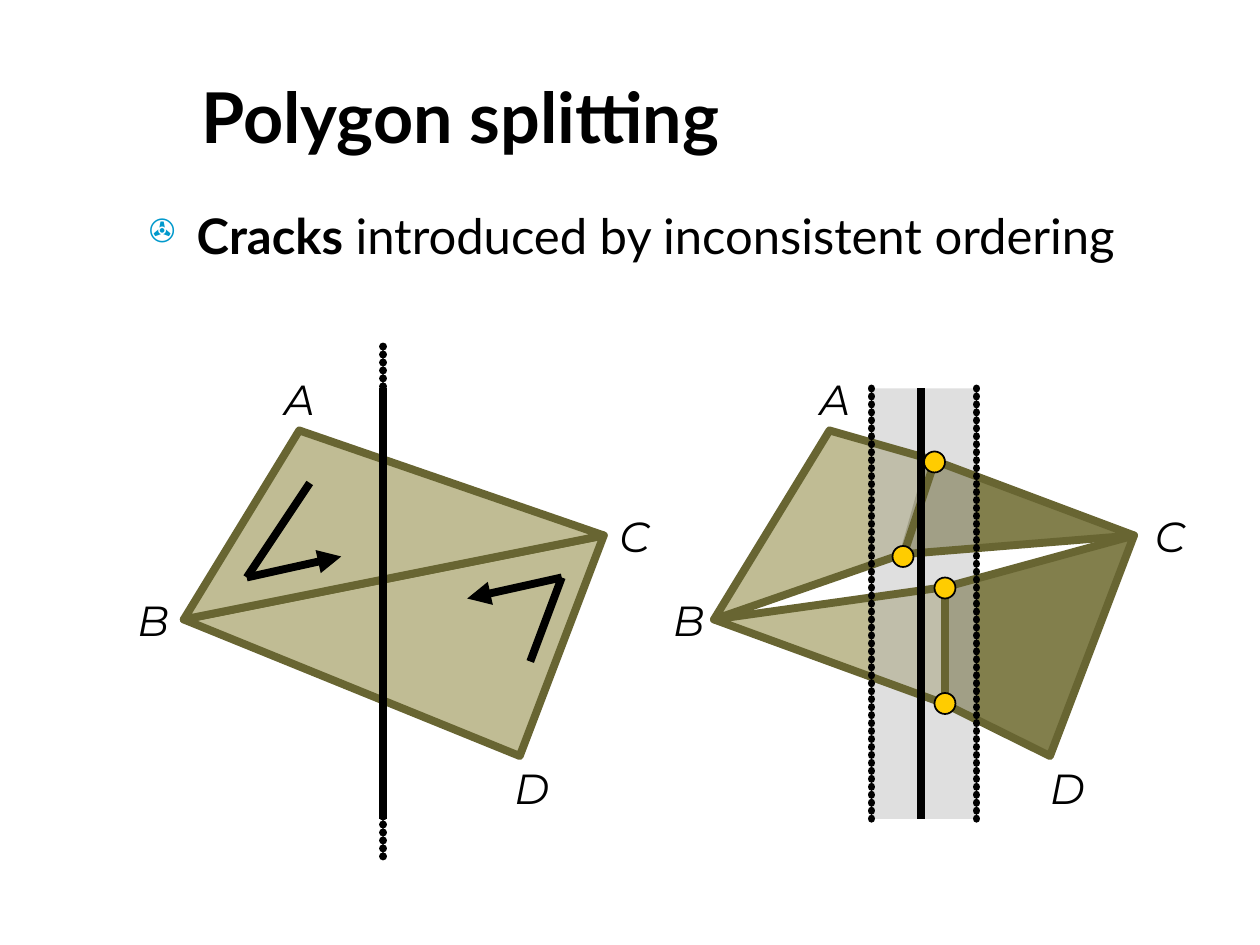
"""Build the polygon splitting slide on a grid of twelfths of an inch."""
from lxml.etree import SubElement
from pptx import Presentation
from pptx.dml.color import RGBColor
from pptx.enum.shapes import MSO_CONNECTOR, MSO_SHAPE
from pptx.enum.text import MSO_ANCHOR, MSO_AUTO_SIZE, PP_ALIGN
from pptx.oxml.ns import qn
from pptx.util import Inches, Pt

THEME = {
    "black": "000000", "edge": "686532", "light": "C0BC94", "dark": "827F4C",
    "band": "C0C0C0", "dot": "FFCC00", "bullet": "0099CC",
    "text_font": "Lato", "label_font": "Montserrat",
    "title": 40, "body": 28, "label": 24, "stroke": 4.5, "thin": 1,
}
TITLE = "Polygon splitting"
BODY = [("Cracks", True), (" introduced by inconsistent ordering", False)]
TITLE_AREA = (18, 5, 99, 12)
BODY_AREA = (13, 19, 103, 9)

LABELS = [("A", 25.9, 35, 4.7), ("B", 11.9, 56, 4.8),
          ("C", 57.8, 48, 4.7), ("D", 47.8, 72, 5)]
FIGURE_SHIFTS = (0, 51)

SPLIT_FILLS = [
    ("light", [(68.4, 58.8), (79.4, 41), (88.7, 43.8), (86.2, 52.4)]),
    ("dark", [(89.8, 66.8), (89.9, 56), (107.8, 51), (100.1, 71.8)]),
    ("light", [(90, 66.8), (90.2, 56), (68.4, 58.8)]),
    ("dark", [(107.6, 50.9), (88.2, 43.8), (85.7, 52.6)]),
]
WHOLE_TRIANGLES = [
    [(17.5, 59), (57.5, 51), (49.5, 72)],
    [(17.5, 59), (57.5, 51), (28.5, 41)],
]
SPLIT_OUTLINES = [
    [(68, 59), (85.9, 52.8), (108, 51), (88.8, 43.8), (79, 41)],
    [(68, 59), (90.1, 55.9), (108, 51), (100, 72), (89.9, 67)],
]
BAND = (83, 37, 10, 41)
SPLIT_EDGES = [((86, 53), (89, 44)), ((90, 56), (90, 67))]
DOTTED_LINES = [((36.5, 33), (36.5, 82)), ((93, 37), (93, 78)), ((83, 37), (83, 78))]
SOLID_LINES = [((36.5, 37), (36.5, 78)), ((87.75, 37), (87.75, 78))]
ORDER_LINES = [((29.5, 46), (23.5, 55)), ((53.5, 55), (50.5, 63))]
ORDER_ARROWS = [((23.5, 55), (32.5, 53)), ((53.5, 55), (44.5, 57))]
VERTICES = [(90, 56), (86, 53), (89, 44), (90, 67)]
VERTEX_SIZE = 2


def grid(*values):
    return [Inches(value / 12) for value in values]


def color(name):
    return RGBColor.from_string(THEME[name])


def style(shape, fill=None, line=None, width="stroke"):
    shape.shadow.inherit = False
    if fill:
        shape.fill.solid()
        shape.fill.fore_color.rgb = color(fill)
    else:
        shape.fill.background()
    if line:
        shape.line.color.rgb = color(line)
        shape.line.width = Pt(THEME[width])
        SubElement(shape.line._get_or_add_ln(), qn("a:round"))
    else:
        shape.line.fill.background()


def polygon(page, points, fill=None, line=None):
    corners = [grid(*point) for point in points]
    builder = page.shapes.build_freeform(*corners[0], scale=1.0)
    builder.add_line_segments(corners[1:], close=True)
    style(builder.convert_to_shape(), fill, line)


def stroke(page, ends, line="black", dotted=False, arrow=False):
    start, end = ends
    connector = page.shapes.add_connector(MSO_CONNECTOR.STRAIGHT, *grid(*start, *end))
    connector.line.color.rgb = color(line)
    connector.line.width = Pt(THEME["stroke"])
    outline = connector.line._get_or_add_ln()
    if dotted:
        outline.set("cap", "rnd")
        dash = SubElement(outline, qn("a:custDash"))
        SubElement(dash, qn("a:ds"), d="1000", sp="100000")
    SubElement(outline, qn("a:round"))
    if arrow:
        SubElement(outline, qn("a:tailEnd"), type="triangle")
    SubElement(connector._element.spPr, qn("a:effectLst"))


def set_font(font, family, size, bold=None, italic=None):
    font.name = THEME[family]
    font.size = Pt(THEME[size])
    font.bold, font.italic = bold, italic
    font.color.rgb = color("black")


def add_title(page):
    box = page.shapes.title
    box.left, box.top, box.width, box.height = grid(*TITLE_AREA)
    frame = box.text_frame
    frame.text = TITLE
    frame.vertical_anchor = MSO_ANCHOR.MIDDLE
    para = frame.paragraphs[0]
    para.alignment = PP_ALIGN.LEFT
    set_font(para.font, "text_font", "title", bold=True)


def add_body(page):
    frame = page.shapes.add_textbox(*grid(*BODY_AREA)).text_frame
    frame.word_wrap = True
    para = frame.paragraphs[0]
    para.space_before = Pt(7)
    set_font(para.font, "text_font", "body")
    for text, bold in BODY:
        span = para.add_run()
        span.text, span.font.bold = text, bold
    properties = para._p.get_or_add_pPr()
    indent = Inches(0.38)
    properties.set("marL", str(indent))
    properties.set("indent", str(-indent))
    bullet = [("buClr", {}), ("buSzPct", {"val": "65000"}), ("buChar", {"char": "\u2707"})]
    default_run = properties.find(qn("a:defRPr"))
    for tag, attributes in bullet:
        part = SubElement(properties, qn("a:" + tag), **attributes)
        if tag == "buClr":
            SubElement(part, qn("a:srgbClr"), val=THEME["bullet"])
        if default_run is not None:
            default_run.addprevious(part)


def add_label(page, text, left, top, width):
    frame = page.shapes.add_textbox(*grid(left, top, width, 6)).text_frame
    frame.word_wrap = False
    frame.auto_size = MSO_AUTO_SIZE.SHAPE_TO_FIT_TEXT
    frame.text = text
    set_font(frame.paragraphs[0].font, "label_font", "label", italic=True)


def add_band(page):
    band = page.shapes.add_shape(MSO_SHAPE.RECTANGLE, *grid(*BAND))
    style(band, "band")
    shade = band._element.spPr.find(qn("a:solidFill")).find(qn("a:srgbClr"))
    SubElement(shade, qn("a:alpha"), val="50000")


def main():
    deck = Presentation()
    deck.slide_width, deck.slide_height = Inches(10), Inches(7.5)
    page = deck.slides.add_slide(deck.slide_layouts[5])
    add_title(page)
    add_body(page)
    for fill, points in SPLIT_FILLS:
        polygon(page, points, fill)
    for points in WHOLE_TRIANGLES:
        polygon(page, points, "light", "edge")
    add_band(page)
    for shift in FIGURE_SHIFTS:
        for text, left, top, width in LABELS:
            add_label(page, text, left + shift, top, width)
    for ends in SPLIT_EDGES:
        stroke(page, ends, "edge")
    for points in SPLIT_OUTLINES:
        polygon(page, points, line="edge")
    for ends in DOTTED_LINES:
        stroke(page, ends, dotted=True)
    for x, y in VERTICES:
        corner = grid(x - VERTEX_SIZE / 2, y - VERTEX_SIZE / 2, VERTEX_SIZE, VERTEX_SIZE)
        style(page.shapes.add_shape(MSO_SHAPE.OVAL, *corner), "dot", "black", "thin")
    for ends in SOLID_LINES + ORDER_LINES:
        stroke(page, ends)
    for ends in ORDER_ARROWS:
        stroke(page, ends, arrow=True)
    deck.save("out.pptx")


main()
